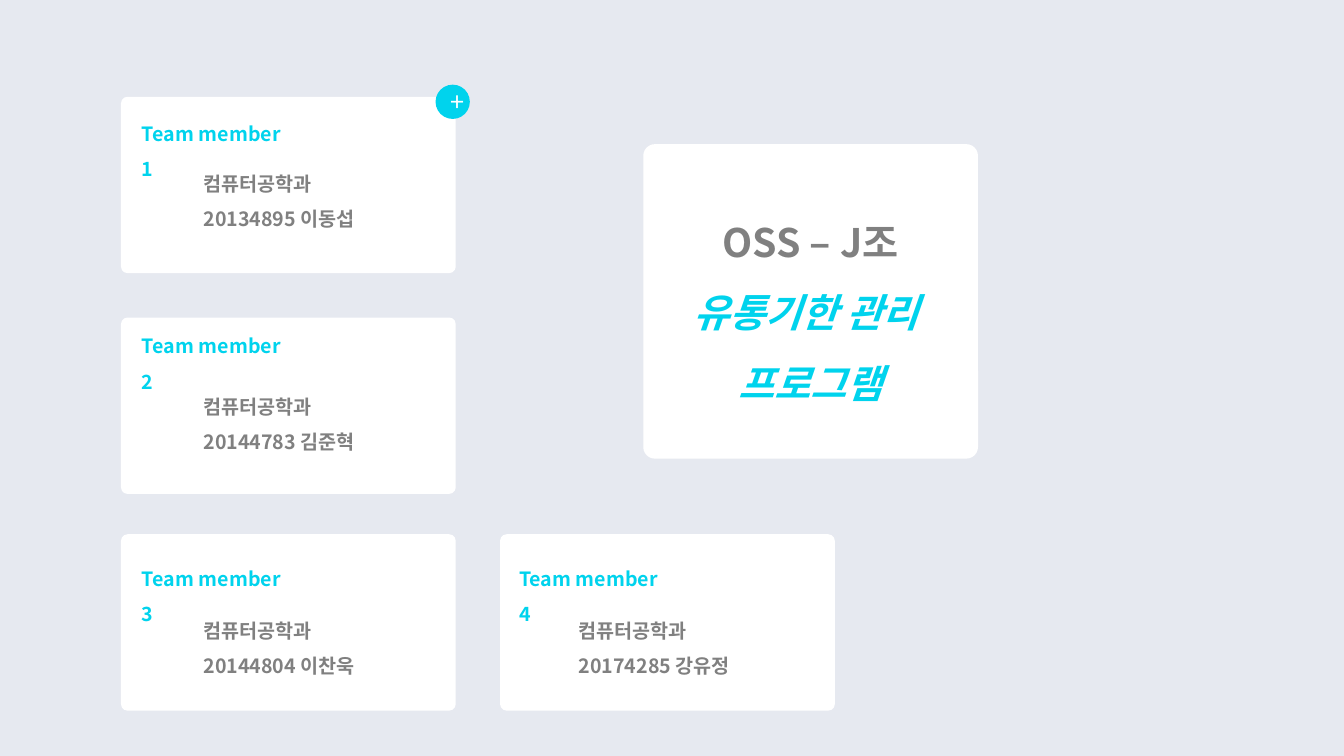
from lxml import etree
from pptx import Presentation
from pptx.dml.color import RGBColor
from pptx.enum.shapes import MSO_SHAPE
from pptx.enum.text import MSO_ANCHOR, PP_ALIGN
from pptx.oxml.ns import qn
from pptx.util import Inches, Pt

ROUNDED, OVAL = MSO_SHAPE.ROUNDED_RECTANGLE, MSO_SHAPE.OVAL
LEFT, CENTER = PP_ALIGN.LEFT, PP_ALIGN.CENTER
MIDDLE = MSO_ANCHOR.MIDDLE

FONT = "Noto Sans CJK KR"
BACKGROUND = RGBColor(0xE6, 0xE9, 0xF0)
WHITE = RGBColor(0xFF, 0xFF, 0xFF)
GRAY = RGBColor(0x80, 0x80, 0x80)
CYAN = RGBColor(0x00, 0xD3, 0xED)

DEPARTMENT = "컴퓨터공학과"
# column, row, heading, student, heading offset and details offset from the card corner
MEMBERS = [
    (0, 0, "Team member 1", "20134895 이동섭", (0.11, 0.08), (0.72, 0.58)),
    (0, 1, "Team member 2", "20144783 김준혁", (0.11, 0.0), (0.72, 0.6)),
    (0, 2, "Team member 3", "20144804 이찬욱", (0.11, 0.16), (0.72, 0.67)),
    (1, 2, "Team member 4", "20174285 강유정", (0.09, 0.16), (0.68, 0.67)),
]
# text, colour, italic
TITLE = [
    ("OSS – J조", GRAY, False),
    ("유통기한 관리 ", CYAN, True),
    ("프로그램", CYAN, True),
]

COLUMNS = (1.2, 4.96)
ROWS = (0.96, 3.15, 5.3)
CARD_WIDTH, CARD_HEIGHT = 3.32, 1.75
TITLE_LEFT, TITLE_TOP, TITLE_HEIGHT = 6.38, 1.43, 3.12
TITLE_TEXT_HEIGHT = 2.22
BADGE = 0.34


def add_panel(page, kind, left, top, width, height, color):
    panel = page.shapes.add_shape(
        kind, Inches(left), Inches(top), Inches(width), Inches(height))
    panel.shadow.inherit = False
    panel.fill.solid()
    panel.fill.fore_color.rgb = color
    panel.line.fill.background()
    if kind == ROUNDED:
        panel.adjustments[0] = 0.037
    return panel


def add_span(para, text, size, color, bold=True, italic=False):
    span = para.add_run()
    span.text = text
    font = span.font
    font.name, font.size = FONT, Pt(size)
    font.bold, font.italic = bold, italic
    font.color.rgb = color
    east_asian = etree.SubElement(font._element, qn("a:ea"))
    east_asian.set("typeface", FONT)


def add_text(page, left, top, width, height, lines, size, align=LEFT):
    """Add a wrapped text box; each line is (text, colour, italic)."""
    box = page.shapes.add_textbox(
        Inches(left), Inches(top), Inches(width), Inches(height))
    frame = box.text_frame
    frame.word_wrap = True
    for index, (text, color, italic) in enumerate(lines):
        para = frame.add_paragraph() if index else frame.paragraphs[0]
        para.alignment = align
        para.line_spacing = 1.5
        add_span(para, text, size, color, italic=italic)


def add_member(page, column, row, heading, student, heading_at, details_at):
    left, top = COLUMNS[column], ROWS[row]
    add_panel(page, ROUNDED, left, top, CARD_WIDTH, CARD_HEIGHT, WHITE)
    add_text(page, left + details_at[0], top + details_at[1], 2.4, 0.81,
             [(DEPARTMENT, GRAY, False), (student, GRAY, False)], 14)
    add_text(page, left + heading_at[0], top + heading_at[1], 1.72, 0.45,
             [(heading, CYAN, False)], 14)


def main():
    deck = Presentation()
    deck.slide_width, deck.slide_height = Inches(13.33), Inches(7.5)
    page = deck.slides.add_slide(deck.slide_layouts[6])
    page.background.fill.solid()
    page.background.fill.fore_color.rgb = BACKGROUND

    add_panel(page, ROUNDED, TITLE_LEFT, TITLE_TOP, CARD_WIDTH, TITLE_HEIGHT, WHITE)
    title_text_top = TITLE_TOP + (TITLE_HEIGHT - TITLE_TEXT_HEIGHT) / 2
    add_text(page, TITLE_LEFT, title_text_top, CARD_WIDTH, TITLE_TEXT_HEIGHT,
             TITLE, 28, CENTER)

    for member in MEMBERS:
        add_member(page, *member)

    badge = add_panel(page, OVAL, 4.32, 0.84, BADGE, BADGE, CYAN)
    badge.text_frame.vertical_anchor = MIDDLE
    para = badge.text_frame.paragraphs[0]
    para.alignment = CENTER
    add_span(para, "+", 18, WHITE, bold=False)

    deck.save("out.pptx")


if __name__ == "__main__":
    main()
